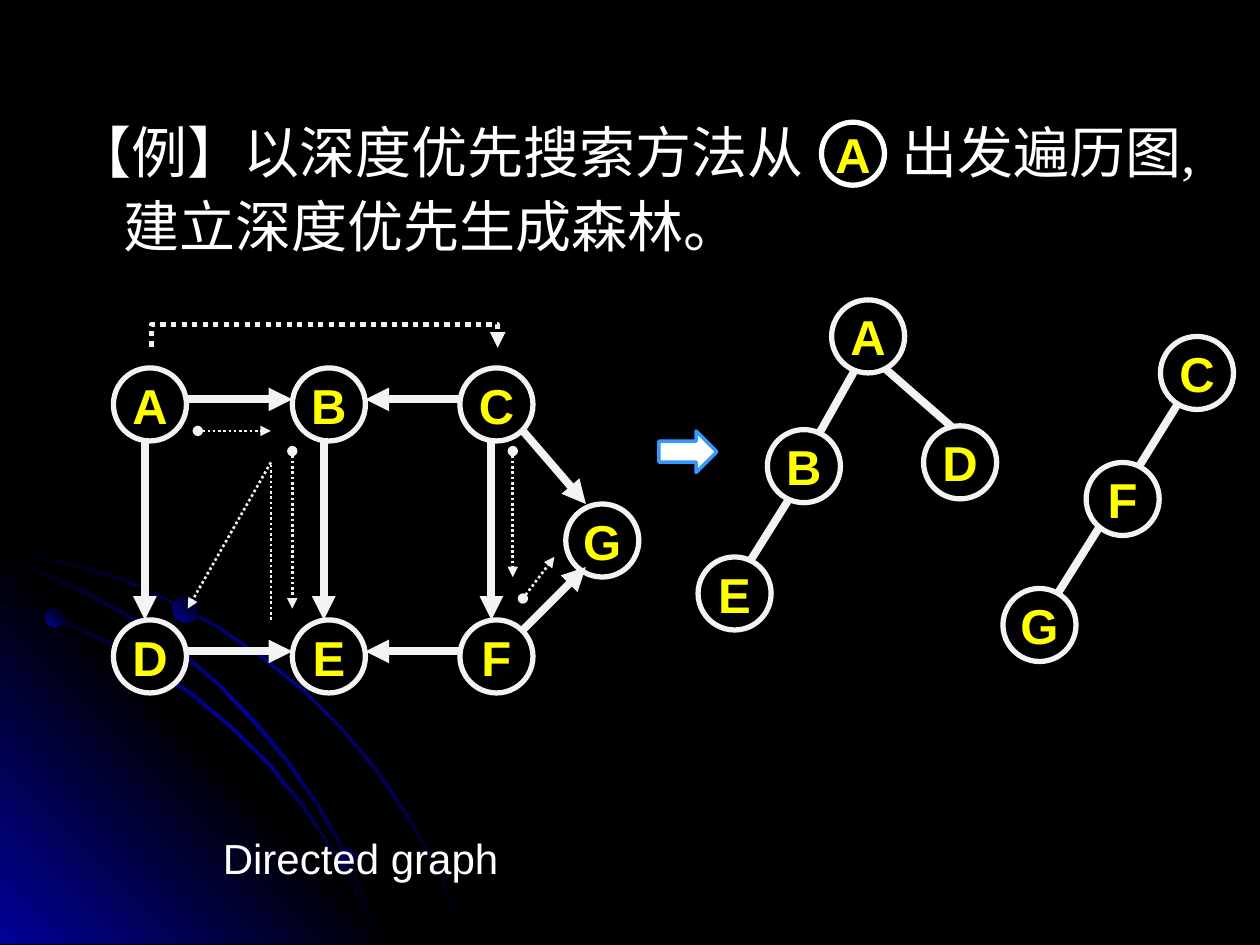
from dataclasses import dataclass

from pptx import Presentation
from pptx import oxml as ox
from pptx import util as u
from pptx.dml.color import RGBColor
from pptx.enum import dml, shapes, text
from pptx.oxml import ns

Inches, Pt = u.Inches, u.Pt


@dataclass(frozen=True)
class Theme:
    """Colours, fonts and sizes of the slide."""
    back: str = "000000"
    glow: str = "010199"
    white: str = "FFFFFF"
    edge: str = "F3F3F3"
    letter: str = "FFFF00"
    accent: str = "3399FF"
    sans: str = "Arial"
    serif: str = "Times New Roman"
    heading: int = 32
    label: int = 28
    caption: int = 24
    ring: float = 3
    arc: float = 4.5
    step: float = 1.5
    node: float = 0.58


T = Theme()

ARCS = [
    [(0.57, 4.47), (0.28, 4.41), (0, 4.35), (0, 4.38), (0.28, 4.43), (0.56, 4.49), (0.97, 4.61),
     (1.35, 4.78), (1.73, 4.99), (2.08, 5.23), (2.41, 5.49), (2.71, 5.79), (2.98, 6.12),
     (3.23, 6.49), (3.37, 6.73), (3.5, 6.98), (3.6, 7.23), (3.7, 7.49), (3.72, 7.49),
     (3.62, 7.23), (3.52, 6.98), (3.39, 6.73), (3.25, 6.48), (3, 6.11), (2.72, 5.78),
     (2.42, 5.48), (2.09, 5.21), (1.74, 4.97), (1.36, 4.77), (0.98, 4.59)],
    [(2.85, 7.14), (2.94, 7.32), (3.01, 7.49), (3.03, 7.49), (2.96, 7.3), (2.86, 7.12),
     (2.66, 6.76), (2.42, 6.4), (2.15, 6.06), (1.84, 5.76), (1.52, 5.49), (1.17, 5.26),
     (0.79, 5.05), (0.41, 4.88), (0, 4.75), (0, 4.77), (0.39, 4.9), (0.77, 5.07),
     (1.15, 5.28), (1.5, 5.51), (1.83, 5.78), (2.13, 6.08), (2.4, 6.41), (2.65, 6.77)],
    [(0, 4.42), (0, 4.44), (0.36, 4.57), (0.74, 4.75), (1.09, 4.94), (1.42, 5.18), (1.73, 5.44),
     (2.02, 5.75), (2.27, 6.05), (2.52, 6.41), (2.67, 6.67), (2.8, 6.94), (2.92, 7.22),
     (3.01, 7.49), (3.03, 7.49), (2.94, 7.2), (2.82, 6.93), (2.69, 6.65), (2.54, 6.39),
     (2.29, 6.03), (2.04, 5.73), (1.75, 5.43), (1.44, 5.16), (1.11, 4.93), (0.76, 4.73),
     (0.39, 4.55)],
]
CORNER = [(3.22, 7.49), (0, 7.49), (0, 4.27)]
DOTS = [(0.36, 4.83, 0.15, 315), (2.67, 6.74, 0.16, 45), (1.37, 4.73, 0.21, 315)]


def rgb(value):
    """Turn a hex string into a colour."""
    return RGBColor.from_string(value)


def write(p, words, font=T.sans, size=T.label, color=T.white, bold=False):
    """Add a formatted run to a paragraph."""
    r = p.add_run()
    r.text = words
    r.font.name, r.font.size, r.font.bold = font, Pt(size), bold
    r.font.color.rgb = rgb(color)
    return r


def shade(sp, colors, angle):
    """Give a shape an even gradient and no outline."""
    stops = "".join(
        f'<a:gs pos="{100000 * i // (len(colors) - 1)}"><a:srgbClr val="{c}"/></a:gs>'
        for i, c in enumerate(colors))
    sp.fill.background()
    spPr = sp._element.spPr
    spPr.replace(spPr.find(ns.qn("a:noFill")), ox.parse_xml(
        f'<a:gradFill {ns.nsdecls("a")} rotWithShape="1"><a:gsLst>{stops}</a:gsLst>'
        f'<a:lin ang="{angle * 60000}" scaled="1"/></a:gradFill>'))
    sp.line.fill.background()
    sp.shadow.inherit = False


def outline(parent, points):
    """Draw a closed outline through points in inches."""
    start, *rest = [(Inches(x), Inches(y)) for x, y in points]
    fb = parent.build_freeform(*start, scale=1.0)
    fb.add_line_segments(rest, close=True)
    return fb.convert_to_shape()


def preset(parent, kind, x, y, w, h):
    """Add a preset shape without shadow."""
    sp = parent.add_shape(kind, Inches(x), Inches(y), Inches(w), Inches(h))
    sp.shadow.inherit = False
    return sp


def node(parent, letter, x, y, size=T.node, fill=T.back, edge=T.edge):
    """Draw a ringed vertex with its letter."""
    sp = preset(parent, shapes.MSO_SHAPE.OVAL, x, y, size, size)
    if fill:
        sp.fill.solid()
        sp.fill.fore_color.rgb = rgb(fill)
    else:
        sp.fill.background()
    sp.line.color.rgb, sp.line.width = rgb(edge), Pt(T.ring)
    tf = sp.text_frame
    tf.word_wrap, tf.vertical_anchor = False, text.MSO_ANCHOR.MIDDLE
    p = tf.paragraphs[0]
    p.alignment = text.PP_ALIGN.CENTER
    write(p, letter, color=T.letter, bold=True)


def link(parent, x1, y1, x2, y2, width=T.arc, dotted=False, head=None, tail=None,
         kind=shapes.MSO_CONNECTOR.STRAIGHT):
    """Draw a connector between two points in inches."""
    c = parent.add_connector(kind, Inches(x1), Inches(y1), Inches(x2), Inches(y2))
    c.line.color.rgb, c.line.width = rgb(T.edge), Pt(width)
    if dotted:
        c.line.dash_style = dml.MSO_LINE.ROUND_DOT
    spPr = c._element.spPr
    ln = spPr.find(ns.qn("a:ln"))
    for tag, end in (("headEnd", head), ("tailEnd", tail)):
        if end:
            ln.append(ox.parse_xml(f'<a:{tag} {ns.nsdecls("a")} type="{end}"/>'))
    spPr.append(ox.parse_xml(f'<a:effectLst {ns.nsdecls("a")}/>'))
    return c


def backdrop(s):
    """Draw the black ground with its blue glow, arcs and dots."""
    s.background.fill.solid()
    s.background.fill.fore_color.rgb = rgb(T.back)
    g = s.shapes.add_group_shape().shapes
    shade(outline(g, ARCS[0]), (T.back, T.glow, T.back), 45)
    shade(outline(g, CORNER), (T.glow, T.back, T.glow), 315)
    for arc in ARCS[1:]:
        shade(outline(g, arc), (T.back, T.glow, T.back), 45)
    for x, y, d, angle in DOTS:
        shade(preset(g, shapes.MSO_SHAPE.OVAL, x, y, d, d), (T.glow, T.back), angle)


def task(s, x, y, w, h):
    """Set the task in the body placeholder around its start vertex."""
    title = s.shapes.title
    title._element.getparent().remove(title._element)
    sp = s.placeholders[1]
    sp.left, sp.top, sp.width, sp.height = map(Inches, (x, y, w, h))
    tf = sp.text_frame
    tf.word_wrap, tf.auto_size = True, text.MSO_AUTO_SIZE.NONE
    p = tf.paragraphs[0]
    pPr = p._p.get_or_add_pPr()
    pPr.set("marL", str(Inches(0.38)))
    pPr.set("indent", str(-Inches(0.38)))
    pPr.append(ox.parse_xml(f'<a:buNone {ns.nsdecls("a")}/>'))
    p.line_spacing, p.space_before = 1.1, Pt(0)
    style = dict(font=T.serif, size=T.heading)
    write(p, "【例】以深度优先搜索方法从", **style)
    gap = write(p, " ", **style)
    gap._r.get_or_add_rPr().set("spc", "4800")
    write(p, "出发遍历图, 建立深度优先生成森林。", **style)
    node(s.shapes, "A", x + 6.02, y + 0.14, size=0.5, fill=None, edge=T.white)


def graph(s, x, y):
    """Draw the directed graph and the dotted steps of the search."""
    cols, rows = (0, 1.42, 2.75), (0.42, 2.42)
    spots = [(cx, ry) for ry in rows for cx in cols] + [(3.59, 1.5)]
    for letter, (dx, dy) in zip("ABCDEFG", spots):
        node(s.shapes, letter, x + dx, y + dy)
    across = [(a, ry + 0.25, b, ry + 0.25) for ry in rows for a, b in ((0.59, 1.42), (2.75, 2))]
    down = [(cx + 0.25, 1, cx + 0.25, 2.42) for cx in cols]
    slanted = [(3.25, 0.92, 3.75, 1.5), (3.25, 2.5, 3.75, 2)]
    for x1, y1, x2, y2 in across + down + slanted:
        link(s.shapes, x + x1, y + y1, x + x2, y + y2, tail="triangle")
    steps = [((0.67, 0.92, 1.25, 0.92), "oval", "triangle"),
             ((1.42, 1.08, 1.42, 2.33), "oval", "triangle"),
             ((3.25, 2.25, 3.5, 1.92), "oval", "triangle"),
             ((3.17, 1.08, 3.17, 2.08), "oval", "triangle"),
             ((1.25, 2.42, 1.25, 1.17), None, None),
             ((1.25, 1.17, 0.59, 2.33), None, "triangle")]
    for (x1, y1, x2, y2), head, tail in steps:
        link(s.shapes, x + x1, y + y1, x + x2, y + y2, T.step, True, head, tail)
    jump = link(s.shapes, x + 1.67, y + 1.63, x + 1.68, y - 1.12, T.ring, True,
                tail="triangle", kind=shapes.MSO_CONNECTOR.ELBOW)
    spPr = jump._element.spPr
    spPr.find(ns.qn("a:xfrm")).set("rot", "5400000")
    spPr.find(ns.qn("a:prstGeom")).find(ns.qn("a:avLst")).append(ox.parse_xml(
        f'<a:gd {ns.nsdecls("a")} name="adj1" fmla="val -1800000"/>'))


def tree(s, x, y, spots, branches):
    """Draw one tree of the forest as a group."""
    g = s.shapes.add_group_shape().shapes
    for x1, y1, x2, y2 in branches:
        link(g, x + x1, y + y1, x + x2, y + y2)
    for letter, (dx, dy) in spots.items():
        node(g, letter, x + dx, y + dy)


def caption(s, x, y, w, h):
    """Name the graph."""
    tf = s.shapes.add_textbox(*map(Inches, (x, y, w, h))).text_frame
    tf.word_wrap = False
    write(tf.paragraphs[0], "Directed graph", size=T.caption)


def becomes(s, x, y, w, h):
    """Draw the block arrow from graph to forest."""
    sp = preset(s.shapes, shapes.MSO_SHAPE.RIGHT_ARROW, x, y, w, h)
    sp.fill.solid()
    sp.fill.fore_color.rgb = rgb(T.white)
    sp.line.color.rgb, sp.line.width = rgb(T.accent), Pt(2)


def main():
    """Build and save the slide."""
    prs = Presentation()
    prs.slide_width, prs.slide_height = Inches(10), Inches(7.5)
    s = prs.slides.add_slide(prs.slide_layouts[1])
    backdrop(s)
    task(s, 0.5, 0.83, 9.25, 5.58)
    caption(s, 1.67, 6.56, 2.48, 0.5)
    graph(s, 0.9, 2.5)
    becomes(s, 5.23, 3.42, 0.46, 0.33)
    tree(s, 5.54, 2.38, {"A": (1.06, 0), "B": (0.55, 1.03), "D": (1.79, 1), "E": (0, 2.04)},
         [(1.49, 0.55, 2.05, 1.04), (0.76, 1.52, 0.34, 2.19), (1.35, 0.37, 0.9, 1.17)])
    tree(s, 7.96, 2.67, {"C": (1.25, 0), "F": (0.66, 1), "G": (0, 2)},
         [(0.83, 1.41, 0.41, 2.08), (1.41, 0.5, 1, 1.16)])
    prs.save("out.pptx")


if __name__ == "__main__":
    main()
